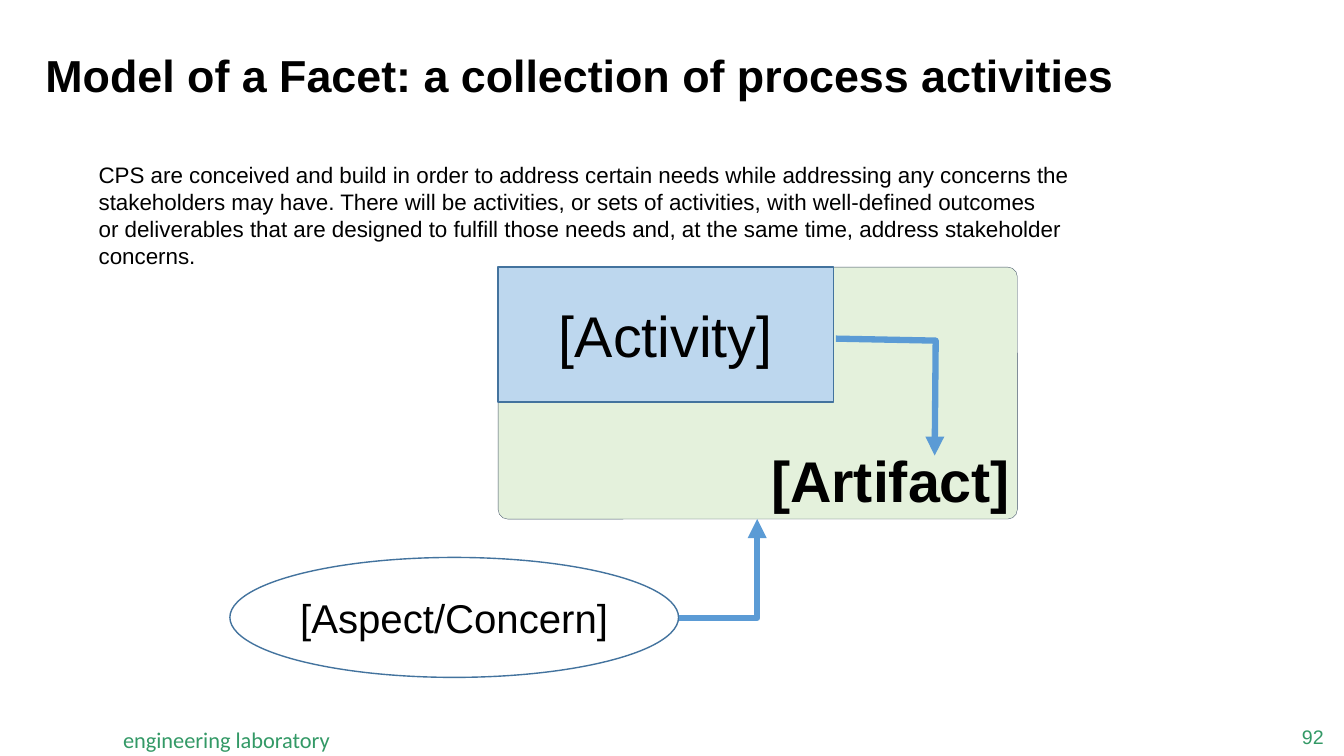
from dataclasses import dataclass
from typing import Optional

from lxml.etree import SubElement
from pptx import Presentation
from pptx.dml.color import RGBColor
from pptx.enum.shapes import MSO_CONNECTOR, MSO_SHAPE
from pptx.enum.text import MSO_ANCHOR, MSO_AUTO_SIZE, PP_ALIGN
from pptx.oxml.ns import qn
from pptx.util import Pt

PX = 9144  # 100 px to the inch

BLACK = RGBColor(0x00, 0x00, 0x00)
GREEN = RGBColor(0x33, 0x99, 0x66)
PALE = RGBColor(0xE2, 0xF0, 0xD9)
SLATE = RGBColor(0x44, 0x54, 0x6A)
SKY = RGBColor(0xBD, 0xD7, 0xEE)
NAVY = RGBColor(0x43, 0x73, 0x9E)
BLUE = RGBColor(0x5B, 0x9B, 0xD5)

INTRO = (
    "CPS are conceived and build in order to address certain needs while addressing any concerns the\n"
    "stakeholders may have. There will be activities, or sets of activities, with well-defined outcomes\n"
    "or deliverables that are designed to fulfill those needs and, at the same time, address stakeholder\n"
    "concerns."
)


@dataclass
class Node:
    kind: MSO_SHAPE
    box: tuple
    text: str
    size: float
    line: RGBColor
    width: float
    fill: Optional[RGBColor] = None
    alpha: int = 100
    bold: bool = False
    align: PP_ALIGN = PP_ALIGN.CENTER
    anchor: MSO_ANCHOR = MSO_ANCHOR.MIDDLE
    inset: tuple = (0, 0)
    wrap: bool = True


NODES = [
    Node(MSO_SHAPE.ROUNDED_RECTANGLE, (494, 265, 515, 250), "[Artifact]", 41, SLATE, 0.25,
         fill=PALE, alpha=90, bold=True, align=PP_ALIGN.RIGHT,
         anchor=MSO_ANCHOR.BOTTOM, inset=(4, 2), wrap=False),
    Node(MSO_SHAPE.RECTANGLE, (494, 265, 333, 134), "[Activity]", 41, NAVY, 1,
         fill=SKY, inset=(10, 5)),
    Node(MSO_SHAPE.OVAL, (228, 553, 445, 119), "[Aspect/Concern]", 28.7, NAVY, 1),
]


def emu(box: tuple) -> list:
    return [PX * side for side in box]


def write(shape, text: str, *, size: float, color=BLACK, font="Arial", bold=False,
          align=PP_ALIGN.LEFT, anchor=MSO_ANCHOR.TOP, inset=(10, 5), wrap=True,
          spacing=None) -> None:
    frame = shape.text_frame
    frame.auto_size = MSO_AUTO_SIZE.NONE
    frame.word_wrap = wrap
    frame.vertical_anchor = anchor
    frame.margin_left = frame.margin_right = PX * inset[0]
    frame.margin_top = frame.margin_bottom = PX * inset[1]
    par = frame.paragraphs[0]
    par.text = text
    par.alignment = align
    if spacing:
        par.line_spacing = spacing
    for run in par.runs:
        run.font.size = Pt(size)
        run.font.name = font
        run.font.bold = bold
        run.font.color.rgb = color
    for gap in par._p.findall(qn("a:br")):
        SubElement(gap, qn("a:rPr"), sz=str(int(size * 100)))


def draw(shapes, node: Node) -> None:
    shape = shapes.add_shape(node.kind, *emu(node.box))
    shape.shadow.inherit = False
    if node.kind == MSO_SHAPE.ROUNDED_RECTANGLE:
        shape.adjustments[0] = 0.038
    if node.fill is None:
        shape.fill.background()
    else:
        shape.fill.solid()
        shape.fill.fore_color.rgb = node.fill
    if node.alpha < 100:
        tint = shape._element.spPr.find(".//" + qn("a:srgbClr"))
        SubElement(tint, qn("a:alpha"), val=str(node.alpha * 1000))
    shape.line.color.rgb = node.line
    shape.line.width = Pt(node.width)
    write(shape, node.text, size=node.size, bold=node.bold, align=node.align,
          anchor=node.anchor, inset=node.inset, wrap=node.wrap)


def arrow(shape) -> None:
    shape.line.color.rgb = BLUE
    shape.line.width = Pt(4.5)
    SubElement(shape.line._get_or_add_ln(), qn("a:tailEnd"), type="triangle")


def main() -> None:
    deck = Presentation()
    deck.slide_width, deck.slide_height = emu((1333, 750))
    slide = deck.slides.add_slide(deck.slide_layouts[5])
    shapes = slide.shapes

    # Title
    title = shapes.title
    title.left, title.top, title.width, title.height = emu((35, 24, 1223, 107))
    write(title, "Model of a Facet: a collection of process activities", size=32,
          bold=True, anchor=MSO_ANCHOR.MIDDLE, spacing=0.9)

    # Footer, page number and intro
    foot = shapes.add_textbox(*emu((122, 720, 208, 27)))
    write(foot, "engineering laboratory", size=16, color=GREEN, font="Calibri",
          inset=(0, 0), wrap=False)
    page = shapes.add_textbox(*emu((1251, 718, 62, 26)))
    write(page, "92", size=14, color=GREEN, align=PP_ALIGN.RIGHT,
          anchor=MSO_ANCHOR.MIDDLE, inset=(0, 0))
    intro = shapes.add_textbox(*emu((88, 155, 994, 118)))
    write(intro, INTRO, size=16, wrap=False)

    # Facet model
    for node in NODES:
        draw(shapes, node)

    # Arrow from concern up to facet
    link = shapes.add_connector(MSO_CONNECTOR.ELBOW, *emu((673, 613, 751, 515)))
    link._element.spPr.find(qn("a:prstGeom")).set("prst", "bentConnector2")
    arrow(link)
    SubElement(link._element.spPr, qn("a:effectLst"))

    # Arrow from activity down to artifact
    pen = shapes.build_freeform(829, 336, scale=PX)
    pen.add_line_segments([(928, 338), (927, 452)], close=False)
    bend = pen.convert_to_shape()
    bend.shadow.inherit = False
    bend.fill.background()
    arrow(bend)

    deck.save("out.pptx")


if __name__ == "__main__":
    main()
